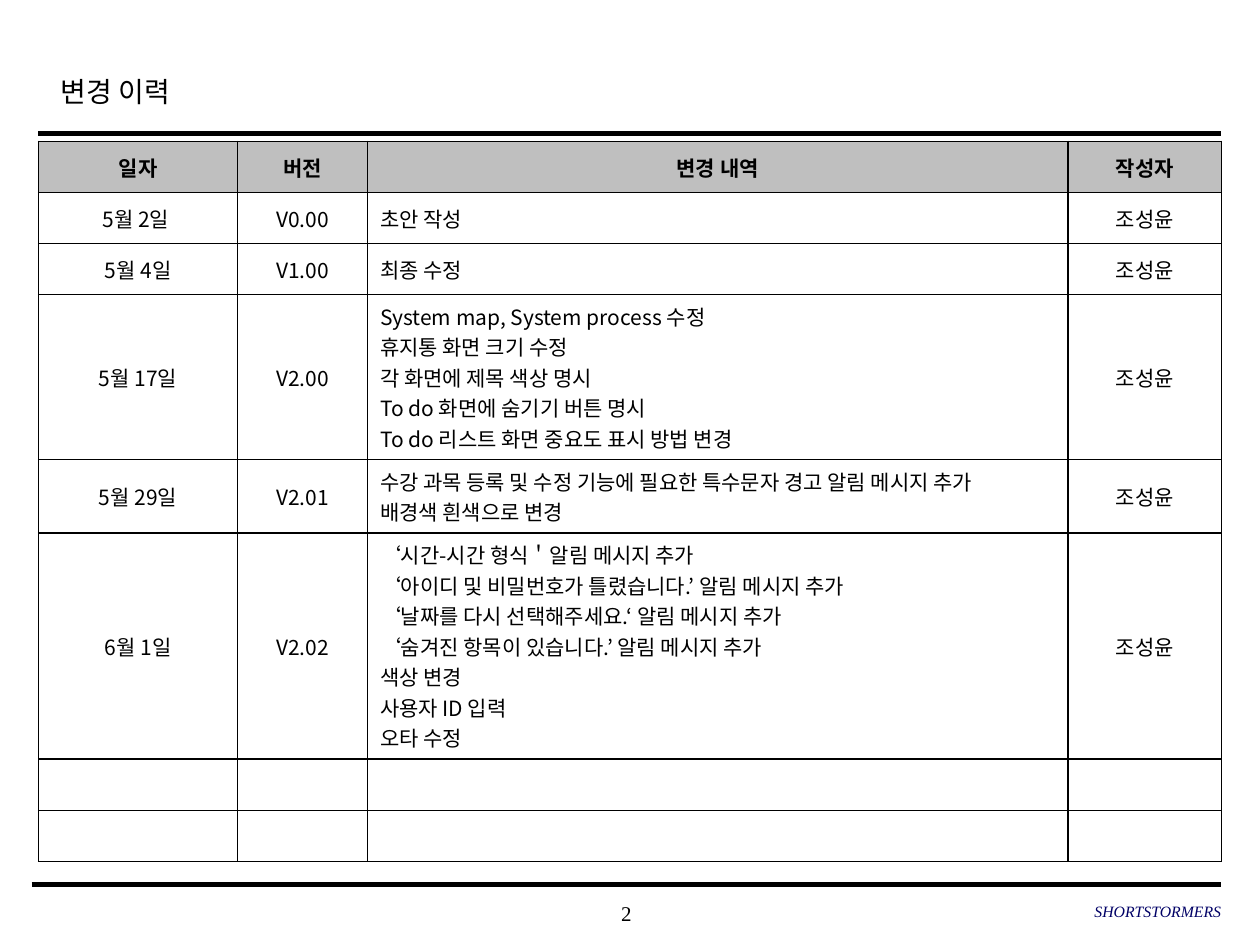
from lxml.etree import SubElement
from pptx import Presentation
from pptx.dml.color import RGBColor
from pptx.enum.shapes import MSO_CONNECTOR as Connector
from pptx.enum.text import MSO_ANCHOR as Anchor, PP_ALIGN as Align
from pptx.oxml import parse_xml
from pptx.oxml.ns import nsdecls, qn
from pptx.util import Pt

BLACK = RGBColor(0x00, 0x00, 0x00)
WHITE = RGBColor(0xFF, 0xFF, 0xFF)
GRAY = RGBColor(0xBF, 0xBF, 0xBF)
NAVY = RGBColor(0x00, 0x00, 0x66)
SERIF = "Times New Roman"
SANS = "Noto Sans CJK KR"

AUTHOR = "조성윤"
HEADINGS = ("일자", "버전", "변경 내역", "작성자")
COLUMN_WIDTHS = (113.8, 74.2, 400.3, 87.8)
ROW_HEIGHT = 29.2
LINE_HEIGHT = 17.42
CELL_MARGINS = 7.2
BLANK_ROWS = 2
CHANGES = [
    ("5월 2일 ", "V0.00", ["초안 작성"]),
    ("5월 4일", "V1.00", ["최종 수정"]),
    ("5월 17일", "V2.00", [
        "System map, System process 수정",
        "휴지통 화면 크기 수정",
        "각 화면에 제목 색상 명시",
        "To do 화면에 숨기기 버튼 명시",
        "To do 리스트 화면 중요도 표시 방법 변경",
    ]),
    ("5월 29일", "V2.01", [
        "수강 과목 등록 및 수정 기능에 필요한 특수문자 경고 알림 메시지 추가",
        "배경색 흰색으로 변경",
    ]),
    ("6월 1일", "V2.02", [
        "‘시간-시간 형식＇알림 메시지 추가",
        "‘아이디 및 비밀번호가 틀렸습니다.’ 알림 메시지 추가",
        "‘날짜를 다시 선택해주세요.‘ 알림 메시지 추가",
        "‘숨겨진 항목이 있습니다.’ 알림 메시지 추가",
        "색상 변경",
        "사용자 ID 입력",
        "오타 수정",
    ]),
]


def add_span(para, text, size, font, color=BLACK, bold=False, italic=False):
    """Add one formatted run and return it."""
    span = para.add_run()
    span.text = text
    span.font.size = Pt(size)
    span.font.name = font
    span.font.color.rgb = color
    span.font.bold = bold
    span.font.italic = italic
    return span


def add_title(page, text):
    """Place and format the title placeholder."""
    title = page.shapes.title
    title.left, title.top, title.width, title.height = Pt(27.6), Pt(32.4), Pt(543.6), Pt(36)
    frame = title.text_frame
    frame.vertical_anchor = Anchor.MIDDLE
    para = frame.paragraphs[0]
    para.alignment = Align.LEFT
    para.line_spacing = 1.2
    span = add_span(para, text, 16, SERIF)
    SubElement(span.font._element, qn("a:ea"), typeface=SANS)


def add_rule(page, left, right, top, weight):
    """Draw a horizontal black rule."""
    rule = page.shapes.add_connector(Connector.STRAIGHT, Pt(left), Pt(top), Pt(right), Pt(top))
    rule.line.color.rgb = BLACK
    rule.line.width = Pt(weight)
    SubElement(rule._element.spPr, qn("a:effectLst"))


def add_footer(page, text, left, top, width, align, size, color=BLACK, italic=False):
    """Add a footer text box without margins."""
    box = page.shapes.add_textbox(Pt(left), Pt(top), Pt(width), Pt(23.8))
    frame = box.text_frame
    frame.word_wrap = True
    frame.vertical_anchor = Anchor.MIDDLE
    frame.margin_left = frame.margin_right = frame.margin_top = frame.margin_bottom = 0
    para = frame.paragraphs[0]
    para.alignment = align
    add_span(para, text, size, SERIF, color, italic=italic)


def set_borders(cell):
    """Give a cell thin black borders on all sides."""
    properties = cell._tc.get_or_add_tcPr()
    for index, side in enumerate("LRTB"):
        properties.insert(index, parse_xml(
            f'<a:ln{side} {nsdecls("a")} w="{Pt(1)}"><a:solidFill>'
            f'<a:srgbClr val="{BLACK}"/></a:solidFill></a:ln{side}>'))


def fill_cell(cell, lines, align, fill, bold):
    """Write the lines of one cell and format it."""
    cell.fill.solid()
    cell.fill.fore_color.rgb = fill
    set_borders(cell)
    cell.vertical_anchor = Anchor.MIDDLE
    frame = cell.text_frame
    frame.paragraphs[0].font.size = Pt(12)
    for index, line in enumerate(lines):
        para = frame.add_paragraph() if index else frame.paragraphs[0]
        para.alignment = align
        add_span(para, line, 12, SANS, bold=bold)


def row_height(row):
    """Return the height that the longest cell of a row needs."""
    return max(ROW_HEIGHT, LINE_HEIGHT * max(map(len, row)) + CELL_MARGINS)


def add_history(page):
    """Add the table of changes."""
    rows = [[[heading] for heading in HEADINGS]]
    rows += [[[date], [version], notes, [AUTHOR]] for date, version, notes in CHANGES]
    rows += [[[] for _ in HEADINGS] for _ in range(BLANK_ROWS)]
    table = page.shapes.add_table(
        len(rows), len(HEADINGS), Pt(22), Pt(80.8),
        Pt(sum(COLUMN_WIDTHS)), Pt(sum(map(row_height, rows)))).table
    table.first_row = table.horz_banding = False
    for column, width in zip(table.columns, COLUMN_WIDTHS):
        column.width = Pt(width)
    for row_index, row in enumerate(rows):
        table.rows[row_index].height = Pt(row_height(row))
        header = row_index == 0
        for column_index, lines in enumerate(row):
            notes = HEADINGS[column_index] == "변경 내역" and not header
            fill_cell(table.cell(row_index, column_index), lines,
                      Align.LEFT if notes else Align.CENTER,
                      GRAY if header else WHITE, header)


def main():
    """Build the change history page."""
    deck = Presentation()
    deck.slide_width, deck.slide_height = Pt(720), Pt(540)
    page = deck.slides.add_slide(deck.slide_layouts[5])
    add_footer(page, "2", 283, 509.8, 149.8, Align.CENTER, 12)
    add_rule(page, 22, 697.7, 76.3, 2.5)
    add_rule(page, 18, 697.7, 505.4, 3)
    add_title(page, "변경 이력")
    add_history(page)
    add_footer(page, "SHORTSTORMERS", 477.4, 509, 220.3, Align.RIGHT, 9, NAVY, True)
    deck.save("out.pptx")


if __name__ == "__main__":
    main()
